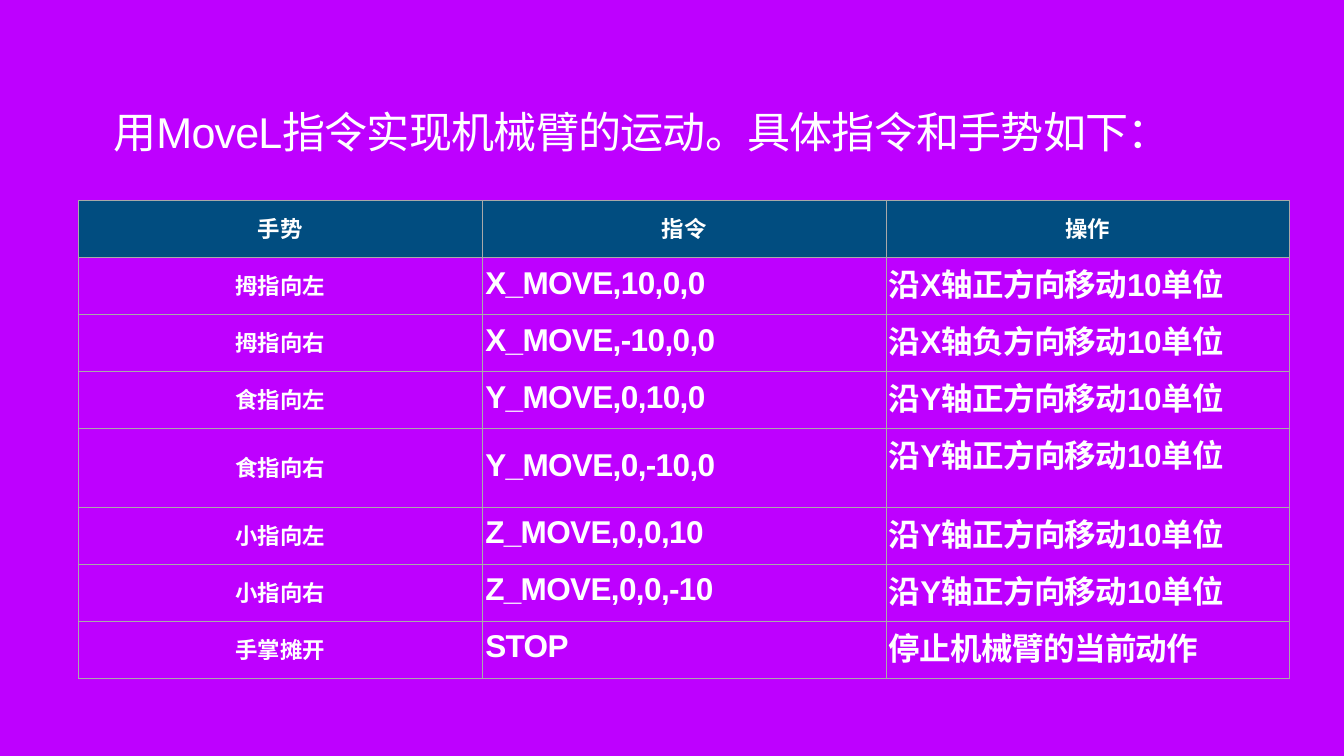
from lxml import etree
from pptx import Presentation
from pptx.dml.color import RGBColor as RGB
from pptx.enum.text import MSO_ANCHOR as ANCHOR, MSO_AUTO_SIZE as AUTO, PP_ALIGN as ALIGN
from pptx.oxml.ns import qn
from pptx.util import Inches, Pt

WIDTH, HEIGHT = 26.67, 15
COLORS = {"background": "BE00FF", "header": "014D80", "text": "FFFFFF", "border": "A9A9A9"}
INSET = 0.06
ROW_HEIGHT, TALL_ROW_HEIGHT, TALL_ROW = 1.13, 1.56, 4

TITLE = "用MoveL指令实现机械臂的运动。具体指令和手势如下："
ROWS = [
    ("手势", "指令", "操作"),
    ("拇指向左", "X_MOVE,10,0,0", "沿X轴正方向移动10单位"),
    ("拇指向右", "X_MOVE,-10,0,0", "沿X轴负方向移动10单位"),
    ("食指向左", "Y_MOVE,0,10,0", "沿Y轴正方向移动10单位"),
    ("食指向右", "Y_MOVE,0,-10,0", "沿Y轴正方向移动10单位"),
    ("小指向左", "Z_MOVE,0,0,10", "沿Y轴正方向移动10单位"),
    ("小指向右", "Z_MOVE,0,0,-10", "沿Y轴正方向移动10单位"),
    ("手掌摊开", "STOP", "停止机械臂的当前动作"),
]


def write(tf, text, size, bold=False, align=ALIGN.LEFT, line=0.8, tracking=0):
    p = tf.paragraphs[0]
    p.alignment, p.line_spacing, p.space_before = align, line, Pt(0)
    r = p.add_run()
    r.text = text
    r.font.name, r.font.size, r.font.bold = "Arial", Pt(size), bold
    r.font.color.rgb = RGB.from_string(COLORS["text"])
    r.font._element.set("spc", str(round(tracking * 100)))


def set_insets(box, bottom=INSET):
    box.margin_left = box.margin_right = box.margin_top = Inches(INSET)
    box.margin_bottom = Inches(bottom)
    box.vertical_anchor = ANCHOR.MIDDLE


class Deck:
    def __init__(self):
        self.prs = Presentation()
        self.prs.slide_width, self.prs.slide_height = Inches(WIDTH), Inches(HEIGHT)
        self.s = self.prs.slides.add_slide(self.prs.slide_layouts[5])
        fill = self.s.background.fill
        fill.solid()
        fill.fore_color.rgb = RGB.from_string(COLORS["background"])

    def place(self, x, y, w, h):
        sw, sh = self.prs.slide_width, self.prs.slide_height
        return round(x * sw), round(y * sh), round(w * sw), round(h * sh)

    def title(self, text, x, y, w, h):
        sp = self.s.shapes.title
        sp.left, sp.top, sp.width, sp.height = self.place(x, y, w, h)
        tf = sp.text_frame
        tf.word_wrap, tf.auto_size = True, AUTO.NONE
        set_insets(tf, bottom=0.85)
        write(tf, text, 61.5, tracking=-1.2)

    def border(self, cell):
        tcPr = cell._tc.get_or_add_tcPr()
        for i, side in enumerate(("lnL", "lnR", "lnT", "lnB")):
            ln = etree.Element(qn(f"a:{side}"), w=str(Pt(1)))
            fill = etree.SubElement(ln, qn("a:solidFill"))
            etree.SubElement(fill, qn("a:srgbClr"), val=COLORS["border"])
            tcPr.insert(i, ln)

    def table(self, rows, x, y, w, h):
        box = self.place(x, y, w, h)
        table = self.s.shapes.add_table(len(rows), len(rows[0]), *box).table
        table.horz_banding = False
        for i, row in enumerate(rows):
            tall = i == TALL_ROW
            table.rows[i].height = Inches(TALL_ROW_HEIGHT if tall else ROW_HEIGHT)
            for j, text in enumerate(row):
                cell = table.cell(i, j)
                lifted = tall and j == len(row) - 1
                set_insets(cell, INSET + (TALL_ROW_HEIGHT - ROW_HEIGHT) * lifted)
                if i == 0:
                    cell.fill.solid()
                    cell.fill.fore_color.rgb = RGB.from_string(COLORS["header"])
                else:
                    cell.fill.background()
                self.border(cell)
                if i == 0 or j == 0:
                    write(cell.text_frame, text, 32, bold=True, align=ALIGN.CENTER, line=0.9)
                else:
                    write(cell.text_frame, text, 45, bold=True, tracking=-0.9)


def main():
    deck = Deck()
    deck.title(TITLE, 2.19 / WIDTH, 1.12 / HEIGHT, 21.26 / WIDTH, 3.96 / HEIGHT)
    deck.table(ROWS, 1.56 / WIDTH, 3.98 / HEIGHT, 24.03 / WIDTH, 9.03 / HEIGHT)
    deck.prs.save("out.pptx")


if __name__ == "__main__":
    main()
